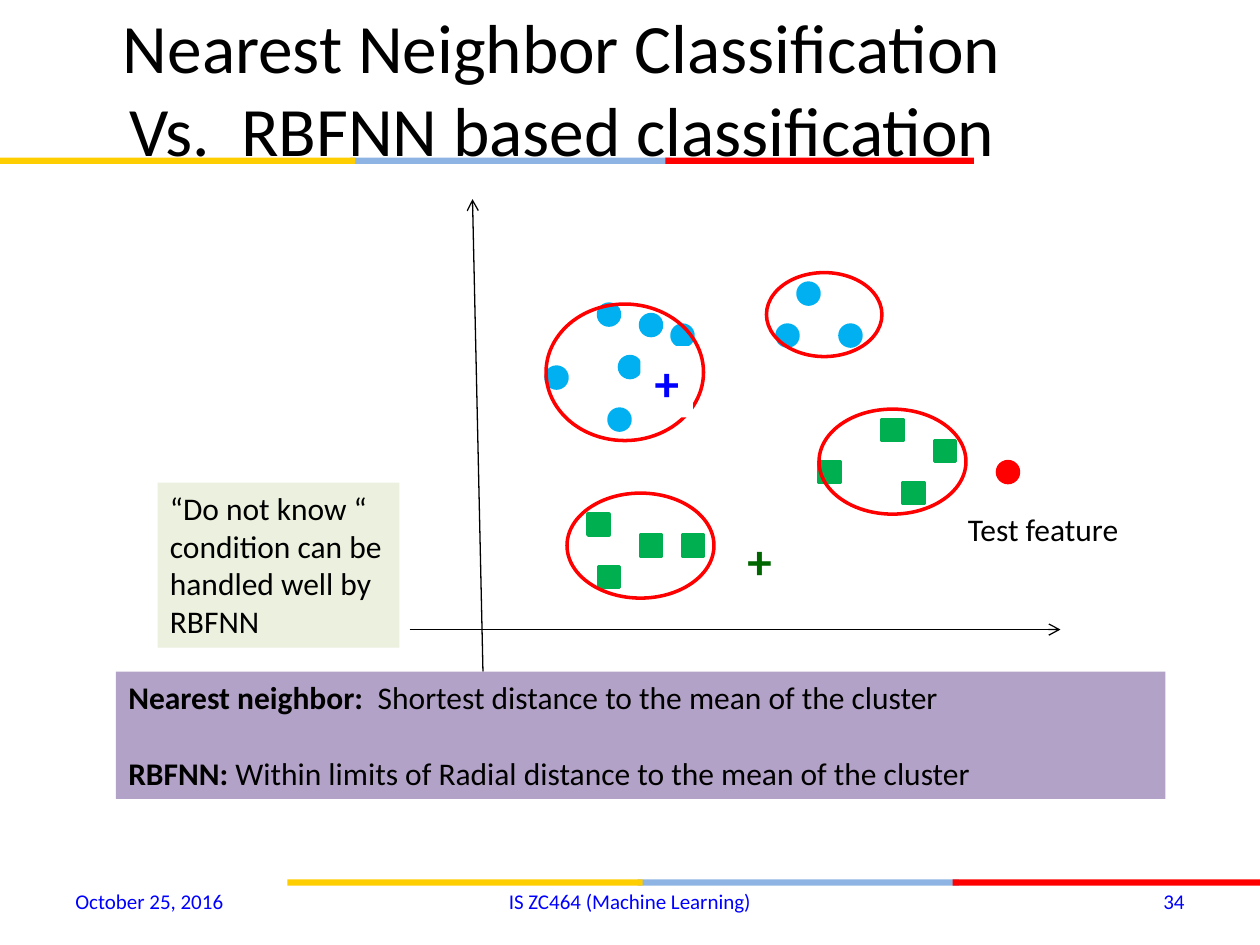
from lxml import etree
from pptx import Presentation
from pptx.dml.color import RGBColor
from pptx.enum import shapes, text
from pptx.oxml.ns import qn
from pptx.util import Inches, Pt

BLACK = RGBColor(0x00, 0x00, 0x00)
WHITE = RGBColor(0xFF, 0xFF, 0xFF)
RED = RGBColor(0xFF, 0x00, 0x00)
YELLOW = RGBColor(0xFF, 0xCE, 0x00)
PALE_BLUE = RGBColor(0x8E, 0xB4, 0xE3)
SKY = RGBColor(0x00, 0xB0, 0xF0)
GREEN = RGBColor(0x00, 0xB0, 0x50)
DARK_GREEN = RGBColor(0x00, 0x66, 0x00)
BLUE = RGBColor(0x00, 0x00, 0xFF)
OLIVE = RGBColor(0xEB, 0xF1, 0xDE)
PURPLE = RGBColor(0xB3, 0xA2, 0xC7)

FONT = "Calibri"
RECT = shapes.MSO_SHAPE.RECTANGLE
OVAL = shapes.MSO_SHAPE.OVAL
LEFT, CENTER, RIGHT = text.PP_ALIGN.LEFT, text.PP_ALIGN.CENTER, text.PP_ALIGN.RIGHT
TOP, MIDDLE = text.MSO_ANCHOR.TOP, text.MSO_ANCHOR.MIDDLE

# The plot sits on a grid of twelve units to the inch, counted from its corner.
UNITS = 12
MARKER = 2
# (marker shape, colour, ring box, marker corners)
CLUSTERS = [
    (OVAL, SKY, (13, 10, 15, 13),
     [(18, 10), (20, 15), (25, 12), (13, 16), (19, 20), (22, 11)]),
    (OVAL, SKY, (34, 7, 11, 8), [(35, 12), (41, 12), (37, 8)]),
    (RECT, GREEN, (39, 20, 14, 10), [(45, 21), (47, 27), (39, 25), (50, 23)]),
    (RECT, GREEN, (15, 28, 14, 10), [(17, 30), (18, 35), (26, 32), (22, 32)]),
]


def add_shape(slide, kind, box, fill=None, line=None):
    sp = slide.shapes.add_shape(kind, *box)
    sp.shadow.inherit = False
    if fill is None:
        sp.fill.background()
    else:
        sp.fill.solid()
        sp.fill.fore_color.rgb = fill
    if line is None:
        sp.line.fill.background()
    else:
        sp.line.color.rgb = line
        sp.line.width = Pt(2)
    return sp


def format_run(r, size, color, bold=False):
    r.font.name = FONT
    r.font.size = Pt(size)
    r.font.color.rgb = color
    r.font.bold = bold


def add_text(slide, box, words, size, color=BLACK, align=LEFT, anchor=TOP,
             bold=False, fill=None):
    sp = slide.shapes.add_textbox(*box)
    if fill is not None:
        sp.fill.solid()
        sp.fill.fore_color.rgb = fill
    tf = sp.text_frame
    tf.word_wrap = True
    tf.vertical_anchor = anchor
    tf.text = words
    p = tf.paragraphs[0]
    p.alignment = align
    format_run(p.runs[0], size, color, bold)
    return sp


def add_arrow(slide, start, end):
    line = slide.shapes.add_connector(shapes.MSO_CONNECTOR.STRAIGHT, *start, *end)
    line.line.color.rgb = BLACK
    line.line.width = Pt(0.75)
    ln = line.line._get_or_add_ln()
    etree.SubElement(ln, qn("a:tailEnd"), type="arrow")
    etree.SubElement(line._element.spPr, qn("a:effectLst"))


def add_stripe(slide, left, top):
    height = Inches(0.05)
    for offset, width, color in [(2.78, 2.55, PALE_BLUE), (5.28, 2.45, RED),
                                 (0, 2.82, YELLOW)]:
        box = (left + Inches(offset), top, Inches(width), height)
        add_shape(slide, RECT, box, color)


def add_title(slide, left, top, width, height):
    title = slide.shapes.title
    title.left, title.top, title.width, title.height = left, top, width, height
    tf = title.text_frame
    tf.word_wrap = True
    tf.vertical_anchor = MIDDLE
    tf.text = "Nearest Neighbor Classification Vs.  RBFNN based classification"
    p = tf.paragraphs[0]
    p.alignment = CENTER
    format_run(p.runs[0], 39.6, BLACK)


def add_plot(slide, left, top):
    def point(x, y):
        return left + Inches(x / UNITS), top + Inches(y / UNITS)

    def box(x, y, width, height):
        return (*point(x, y), Inches(width / UNITS), Inches(height / UNITS))

    # Axes
    add_arrow(slide, point(0, 41), point(62, 41))
    add_arrow(slide, point(7, 45), point(6, 0))

    # Clusters
    for kind, color, ring, corners in CLUSTERS:
        for x, y in corners:
            add_shape(slide, kind, box(x, y, MARKER, MARKER), color, color)
        add_shape(slide, OVAL, box(*ring), line=RED)

    # Test feature
    add_shape(slide, OVAL, box(56, 25, MARKER, MARKER), RED, RED)
    add_text(slide, box(52, 29, 23, 4.8), "Test feature", 18)

    # Class means
    for x, y, color, align in [(22, 14, BLUE, CENTER), (31, 31, DARK_GREEN, LEFT)]:
        add_text(slide, box(x, y, 5, 6.8), "+", 28, color, align, bold=True, fill=WHITE)


def add_summary(slide, left, top, width, height):
    sp = add_text(slide, (left, top, width, height), "Nearest neighbor:  ", 18,
                  bold=True, fill=PURPLE)
    tf = sp.text_frame
    first = tf.paragraphs[0]
    second = tf.add_paragraph()
    second.text = "RBFNN: "
    second.space_before = Pt(22)
    format_run(second.runs[0], 18, BLACK, True)
    for p, words in [
            (first, "Shortest distance to the mean of the cluster"),
            (second, "Within limits of Radial distance to the mean of the cluster")]:
        r = p.add_run()
        r.text = words
        format_run(r, 18, BLACK)


def add_footer(slide, left, top, width, height):
    side, middle = Inches(2.33), Inches(3.17)
    for x, w, words, align in [
            (left, side, "October 25, 2016", LEFT),
            (left + (width - middle) // 2, middle, "IS ZC464 (Machine Learning)", CENTER),
            (left + width - side, side, "34", RIGHT)]:
        add_text(slide, (x, top, w, height), words, 12, BLUE, align, MIDDLE)


def main():
    prs = Presentation()
    prs.slide_width, prs.slide_height = Inches(10), Inches(7.5)
    slide = prs.slides.add_slide(prs.slide_layouts[5])

    add_stripe(slide, Inches(0), Inches(1.25))
    add_stripe(slide, Inches(2.28), Inches(6.98))
    # Keep the title in front of the stripes
    slide.shapes._spTree.append(slide.shapes.title._element)
    add_title(slide, Inches(0.5), Inches(0.3), Inches(7.92), Inches(0.78))
    add_plot(slide, Inches(3.25), Inches(1.58))
    add_text(slide, (Inches(1.25), Inches(3.83), Inches(1.92), Inches(1.31)),
             "“Do not know “ condition can be handled well by RBFNN", 18, fill=OLIVE)
    add_summary(slide, Inches(0.92), Inches(5.33), Inches(8.33), Inches(1.01))
    add_footer(slide, Inches(0.5), Inches(6.95), Inches(9), Inches(0.4))
    prs.save("out.pptx")


if __name__ == "__main__":
    main()
